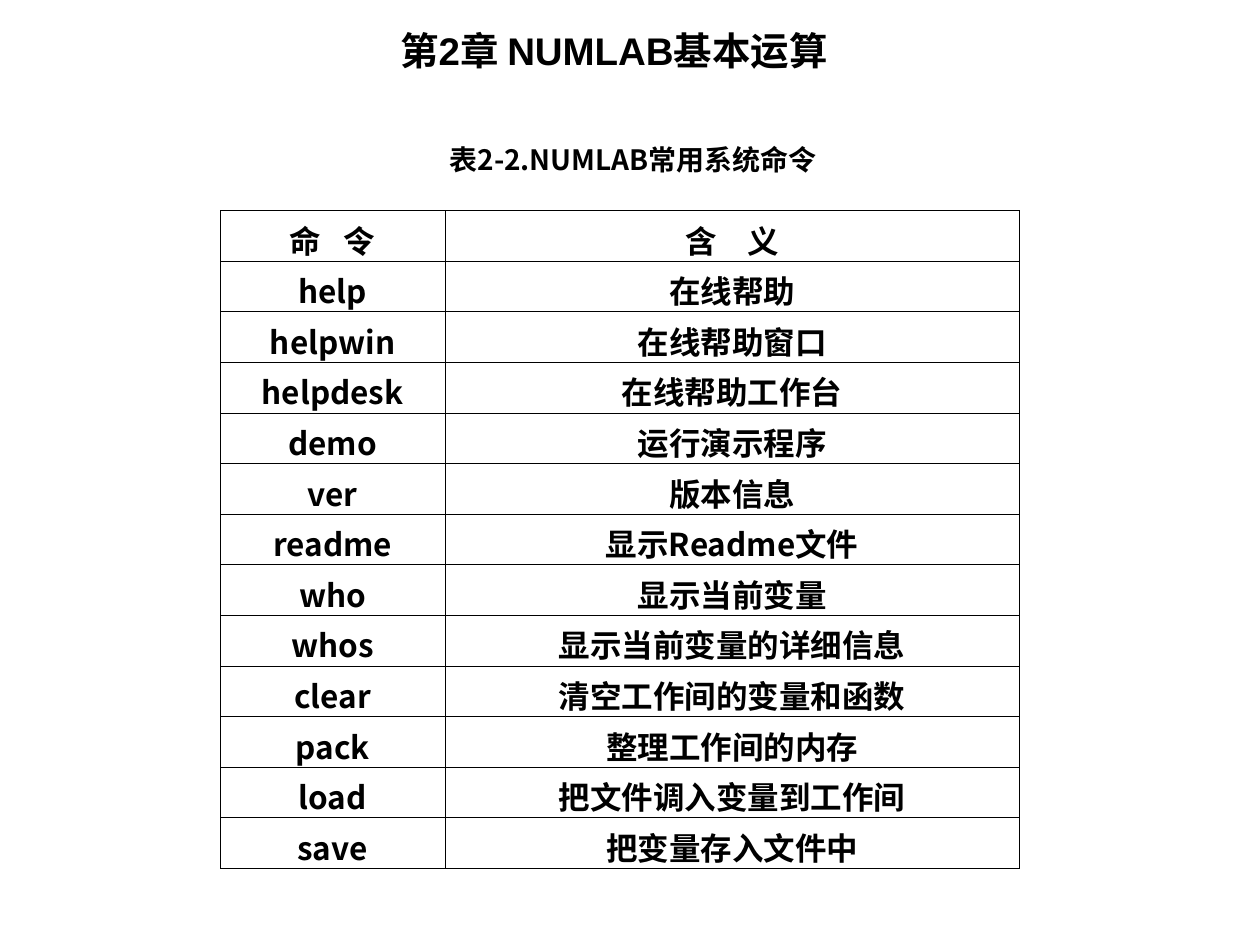
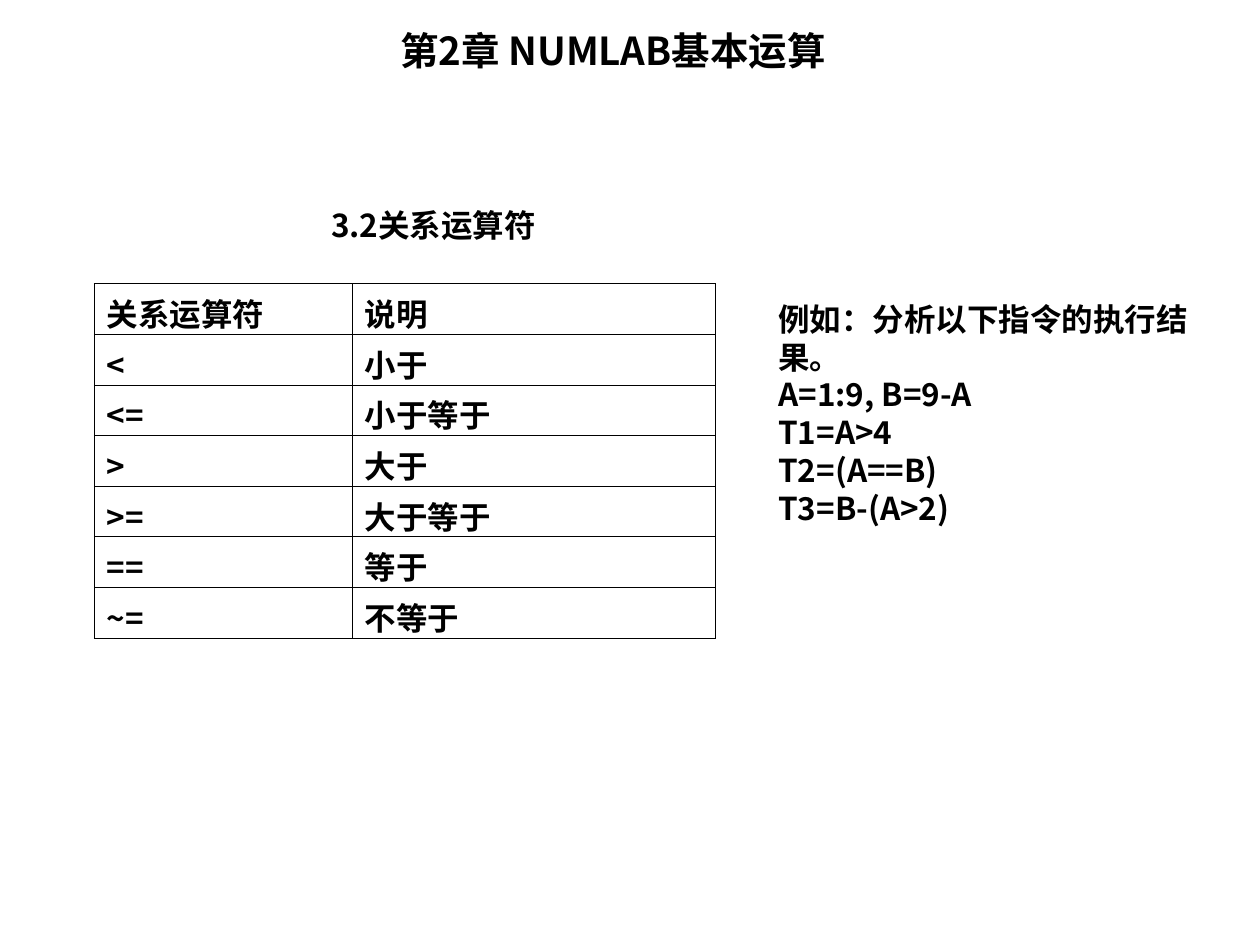
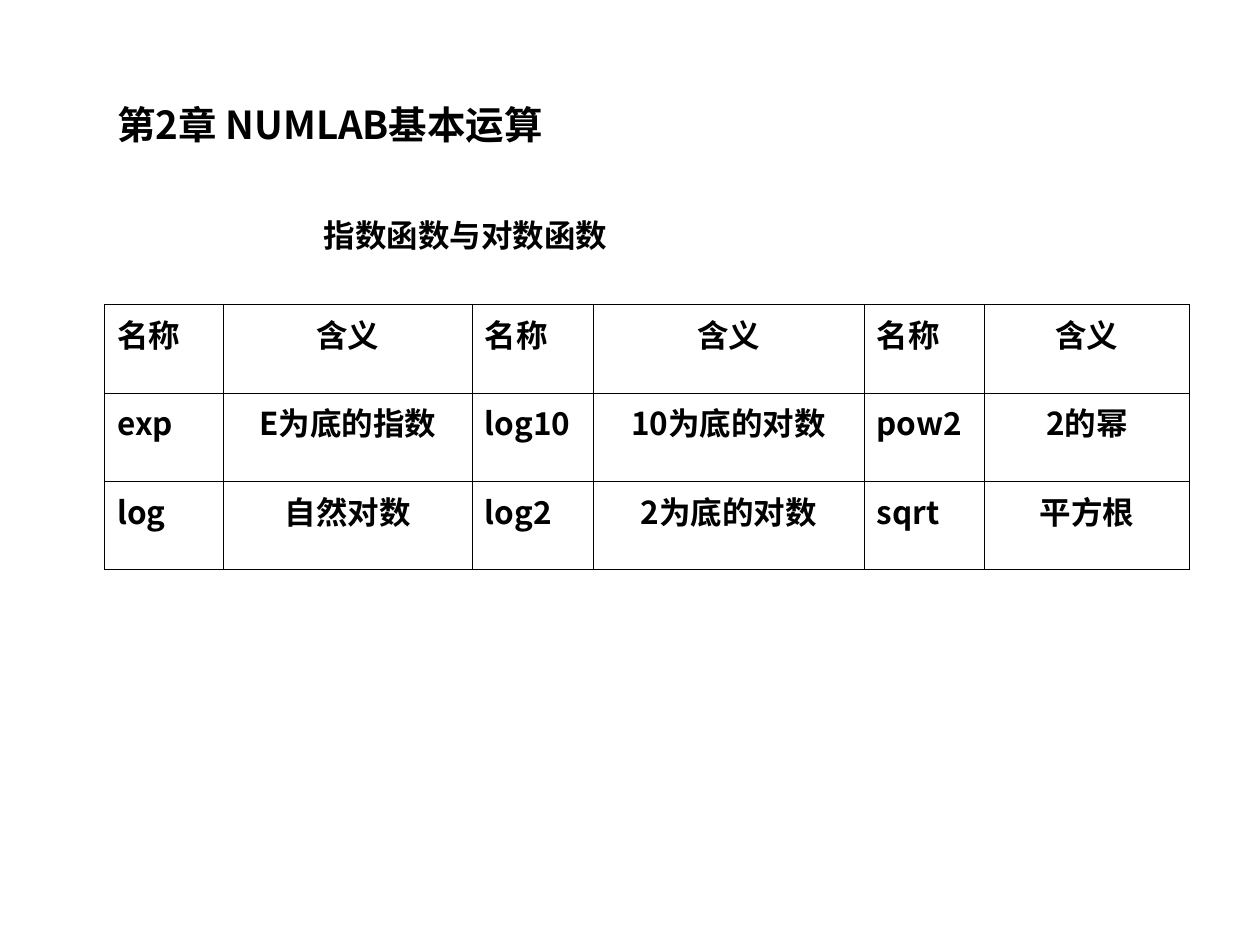
import pptx
import pptx.util
import pptx.dml.color
import pptx.enum.text
import pptx.oxml
import pptx.oxml.ns
from pptx.util import Cm

BLACK = pptx.dml.color.RGBColor(0, 0, 0)
CJK_FONT = "Noto Sans CJK SC"
LEFT = pptx.enum.text.PP_ALIGN.LEFT
CENTER = pptx.enum.text.PP_ALIGN.CENTER
CHAPTER_TITLE = "第2章 NUMLAB基本运算"
BORDER = (
    '<a:{side} {namespace} w="{width}"><a:solidFill><a:srgbClr val="{color}"/>'
    "</a:solidFill></a:{side}>"
)


def write_paragraph(paragraph, text, size, alignment=LEFT, name=CJK_FONT):
    paragraph.alignment = alignment
    paragraph._p.get_or_add_pPr().set("hangingPunct", "0")
    run = paragraph.add_run()
    run.text = text
    font_format = {"size": pptx.util.Pt(size), "bold": True, "name": name}
    for attribute, value in font_format.items():
        setattr(run.font, attribute, value)
    run.font.color.rgb = BLACK
    east_asian = pptx.oxml.parse_xml(
        f'<a:ea {pptx.oxml.ns.nsdecls("a")} typeface="{CJK_FONT}"/>'
    )
    run._r.get_or_add_rPr().append(east_asian)
    return run


presentation = pptx.Presentation()
presentation.slide_width = Cm(25.4)
presentation.slide_height = Cm(19.05)
blank_layout = presentation.slide_layouts[6]
commands_slide, operators_slide, functions_slide = [
    presentation.slides.add_slide(blank_layout) for _ in range(3)
]

example_lines = [
    "例如：分析以下指令的执行结果。",
    "A=1:9, B=9-A",
    "T1=A>4",
    "T2=(A==B)",
    "T3=B-(A>2)",
]
text_boxes = [
    (commands_slide, (7.82, 0.43, 17.15, 1.19), [CHAPTER_TITLE], 22, LEFT, "Arial"),
    (commands_slide, (5.7, 2.74, 14.12, 0.94), ["表2-2.NUMLAB常用系统命令"], 16, CENTER, CJK_FONT),
    (operators_slide, (7.82, 0.43, 17.15, 1.19), [CHAPTER_TITLE], 22, LEFT, CJK_FONT),
    (operators_slide, (1.68, 4.03, 14.12, 1.02), ["3.2关系运算符"], 18, CENTER, CJK_FONT),
    (operators_slide, (15.44, 5.92, 9.96, 4.06), example_lines, 18, LEFT, CJK_FONT),
    (functions_slide, (2.32, 4.24, 14.12, 1.02), ["指数函数与对数函数"], 18, CENTER, CJK_FONT),
    (functions_slide, (2.12, 1.91, 11.43, 1.19), [CHAPTER_TITLE], 22, LEFT, CJK_FONT),
]
for slide, position, lines, size, alignment, name in text_boxes:
    text_frame = slide.shapes.add_textbox(*map(Cm, position)).text_frame
    text_frame.word_wrap = True
    text_frame.auto_size = pptx.enum.text.MSO_AUTO_SIZE.SHAPE_TO_FIT_TEXT
    for index, line in enumerate(lines):
        paragraph = text_frame.add_paragraph() if index else text_frame.paragraphs[0]
        write_paragraph(paragraph, line, size, alignment, name)

command_rows = [
    ("命 令", "含 义"),
    ("help", "在线帮助"),
    ("helpwin", "在线帮助窗口"),
    ("helpdesk", "在线帮助工作台"),
    ("demo", "运行演示程序"),
    ("ver", "版本信息"),
    ("readme", "显示Readme文件"),
    ("who", "显示当前变量"),
    ("whos", "显示当前变量的详细信息"),
    ("clear", "清空工作间的变量和函数"),
    ("pack", "整理工作间的内存"),
    ("load", "把文件调入变量到工作间"),
    ("save", "把变量存入文件中"),
]
operator_rows = [
    ("关系运算符", "说明"),
    ("<", "小于"),
    ("<=", "小于等于"),
    (">", "大于"),
    (">=", "大于等于"),
    ("==", "等于"),
    ("~=", "不等于"),
]
function_rows = [
    ("名称", "含义") * 3,
    ("exp", "E为底的指数", "log10", "10为底的对数", "pow2", "2的幂"),
    ("log", "自然对数", "log2", "2为底的对数", "sqrt", "平方根"),
]
header_spacing = {"命 令": "450", "含 义": "650"}
tables = [
    (commands_slide, (4.44, 4.24), (4.53, 11.58), 1.02, 0.23, (CENTER, CENTER), command_rows),
    (operators_slide, (1.9, 5.72), (5.2, 7.32), 1.02, 0.45, (LEFT, LEFT), operator_rows),
    (functions_slide, (2.11, 6.14), (2.39, 5.02, 2.44, 5.46, 2.42, 4.14), 1.78, 0.23,
     (LEFT, CENTER) * 3, function_rows),
]
for slide, (left, top), widths, row_height, border_width, alignments, rows in tables:
    table = slide.shapes.add_table(
        len(rows), len(widths), Cm(left), Cm(top), Cm(sum(widths)), Cm(row_height * len(rows))
    ).table
    table.first_row = False
    table.horz_banding = False
    for column, width in zip(table.columns, widths):
        column.width = Cm(width)
    for row, texts in zip(table.rows, rows):
        row.height = Cm(row_height)
        for cell, text, alignment in zip(row.cells, texts, alignments):
            paragraph = cell.text_frame.paragraphs[0]
            paragraph.space_before = pptx.util.Pt(4.5)
            run = write_paragraph(paragraph, text, 18, alignment)
            if text in header_spacing:
                run._r.get_or_add_rPr().set("spc", header_spacing[text])
            cell_properties = cell._tc.get_or_add_tcPr()
            for side in ("lnL", "lnR", "lnT", "lnB"):
                border = BORDER.format(
                    side=side,
                    namespace=pptx.oxml.ns.nsdecls("a"),
                    width=pptx.util.Pt(border_width),
                    color=BLACK,
                )
                cell_properties.append(pptx.oxml.parse_xml(border))
            cell.fill.background()

presentation.save("out.pptx")
